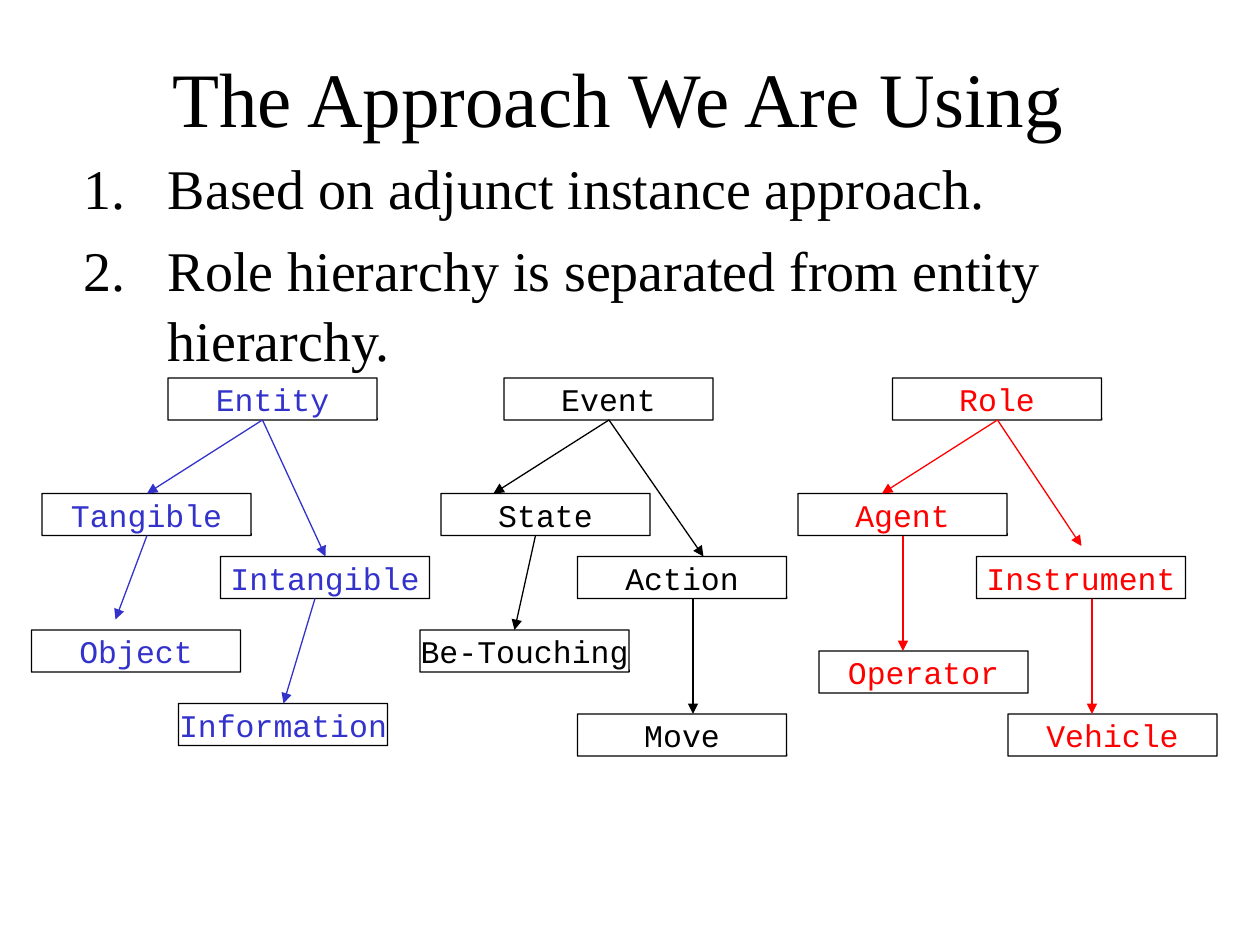
from dataclasses import dataclass

from lxml.etree import SubElement
from pptx import Presentation
from pptx.dml.color import RGBColor
from pptx.enum.shapes import MSO_CONNECTOR as Connector, MSO_SHAPE as Shape
from pptx.enum.text import MSO_ANCHOR as Anchor, MSO_AUTO_SIZE as AutoSize, PP_ALIGN as Align
from pptx.oxml.ns import qn
from pptx.util import Pt


@dataclass(frozen=True)
class Theme:
    black: RGBColor = RGBColor(0x00, 0x00, 0x00)
    white: RGBColor = RGBColor(0xFF, 0xFF, 0xFF)
    blue: RGBColor = RGBColor(0x33, 0x33, 0xCC)
    red: RGBColor = RGBColor(0xFF, 0x00, 0x00)
    serif: str = "Times New Roman"
    mono: str = "Courier New"
    title_size: int = 44
    body_size: int = 32
    label_size: int = 18
    line_width: float = 0.75


THEME = Theme()
BOX_WIDTH, BOX_HEIGHT = 119.5, 24
LIST_INDENT = 48

POINTS = [
    "Based on adjunct instance approach.",
    "Role hierarchy is separated from entity hierarchy.",
]

# Each hierarchy: colour, boxes (label, left, top), arrows (from x, y, to x, y)
HIERARCHIES = [
    (THEME.blue,
     [("Entity", 96, 216), ("Tangible", 24, 282), ("Intangible", 126, 318),
      ("Object", 18, 360), ("Information", 102, 402)],
     [(150, 240, 84, 282), (150, 240, 186, 318),
      (84, 306, 66, 354), (180, 342, 162, 402)]),
    (THEME.black,
     [("Event", 288, 216), ("State", 252, 282), ("Action", 330, 318),
      ("Be-Touching", 240, 360), ("Move", 330, 408)],
     [(348, 240, 282, 282), (348, 240, 402, 318),
      (306, 306, 294, 360), (396, 342, 396, 408)]),
    (THEME.red,
     [("Role", 510, 216), ("Agent", 456, 282), ("Instrument", 558, 318),
      ("Operator", 468, 372), ("Vehicle", 576, 408)],
     [(570, 240, 504, 282), (570, 240, 618, 312),
      (516, 306, 516, 372), (624, 342, 624, 408)]),
]


def place(shape, left, top, width, height):
    shape.left, shape.top = Pt(left), Pt(top)
    shape.width, shape.height = Pt(width), Pt(height)


def style_font(font, name, size, color):
    font.name, font.size = name, Pt(size)
    font.color.rgb = color


def clear_insets(frame):
    frame.margin_left = frame.margin_right = 0
    frame.margin_top = frame.margin_bottom = 0


def add_title(slide, text):
    title = slide.shapes.title
    place(title, 48, 24, 610.5, 62)
    frame = title.text_frame
    frame.text = text
    frame.auto_size = AutoSize.NONE
    frame.vertical_anchor = Anchor.MIDDLE
    paragraph = frame.paragraphs[0]
    paragraph.alignment = Align.CENTER
    style_font(paragraph.font, THEME.serif, THEME.title_size, THEME.black)


def add_numbered_list(slide, items):
    body = slide.placeholders[1]
    place(body, 48, 84, 610.5, 459)
    frame = body.text_frame
    frame.text = "\n".join(items)
    frame.auto_size = AutoSize.NONE
    clear_insets(frame)
    frame.margin_top = Pt(2)
    for index, paragraph in enumerate(frame.paragraphs):
        properties = paragraph._p.get_or_add_pPr()
        properties.set("marL", str(Pt(LIST_INDENT)))
        properties.set("indent", str(-Pt(LIST_INDENT)))
        SubElement(properties, qn("a:buFont"), typeface=THEME.serif)
        SubElement(properties, qn("a:buAutoNum"), type="arabicPeriod")
        paragraph.line_spacing = 1.05
        paragraph.space_before = Pt(6.2 if index else 0)
        style_font(paragraph.font, THEME.serif, THEME.body_size, THEME.black)


def add_box(slide, label, left, top, color):
    box = slide.shapes.add_shape(
        Shape.ROUNDED_RECTANGLE, Pt(left), Pt(top), Pt(BOX_WIDTH), Pt(BOX_HEIGHT))
    box.adjustments[0] = 0.005
    box.shadow.inherit = False
    box.fill.solid()
    box.fill.fore_color.rgb = THEME.white
    box.line.color.rgb = THEME.black
    box.line.width = Pt(THEME.line_width)
    frame = box.text_frame
    frame.text = label
    frame.word_wrap = False
    frame.vertical_anchor = Anchor.MIDDLE
    clear_insets(frame)
    paragraph = frame.paragraphs[0]
    paragraph.alignment = Align.CENTER
    style_font(paragraph.font, THEME.mono, THEME.label_size, color)


def add_arrow(slide, ends, color):
    arrow = slide.shapes.add_connector(Connector.STRAIGHT, *map(Pt, ends))
    arrow.line.color.rgb = color
    arrow.line.width = Pt(THEME.line_width)
    SubElement(arrow.line._get_or_add_ln(), qn("a:tailEnd"),
               type="triangle", w="med", len="med")
    SubElement(arrow._element.spPr, qn("a:effectLst"))


def main():
    presentation = Presentation()
    presentation.slide_width, presentation.slide_height = Pt(720), Pt(540)
    slide = presentation.slides.add_slide(presentation.slide_layouts[1])

    # Heading and numbered points
    add_title(slide, "The Approach We Are Using")
    add_numbered_list(slide, POINTS)

    # Three hierarchies side by side
    for color, boxes, arrows in HIERARCHIES:
        for label, left, top in boxes:
            add_box(slide, label, left, top, color)
        for ends in arrows:
            add_arrow(slide, ends, color)

    presentation.save("out.pptx")


if __name__ == "__main__":
    main()
